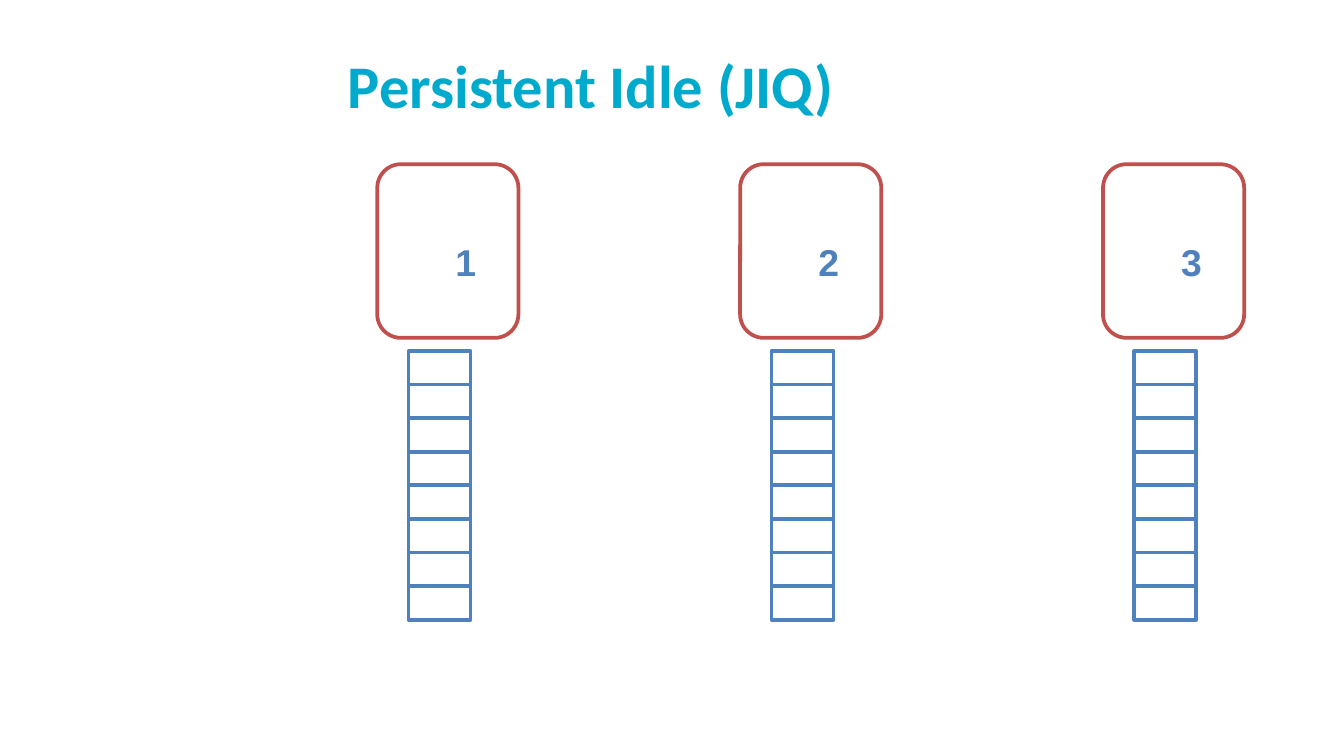
import pptx
import pptx.util
import pptx.dml.color
import pptx.enum.shapes
import pptx.enum.text
from dataclasses import dataclass

Pt = pptx.util.Pt
RGB = pptx.dml.color.RGBColor.from_string
Kind = pptx.enum.shapes.MSO_SHAPE
Anchor = pptx.enum.text.MSO_ANCHOR


@dataclass(frozen=True)
class Theme:
    title: str = "00AACC"
    queue: str = "4F81BD"
    server: str = "C0504D"
    paper: str = "FFFFFF"
    head: float = 32.4
    label: float = 20
    line: float = 2


THEME = Theme()


def add_text(slide, box, text, font, size, color, anchor):
    frame = slide.shapes.add_textbox(*map(Pt, box)).text_frame
    frame.word_wrap = True
    frame.vertical_anchor = anchor
    run = frame.paragraphs[0].add_run()
    run.text = text
    run.font.name = font
    run.font.size = Pt(size)
    run.font.bold = True
    run.font.color.rgb = RGB(color)


def add_box(slide, kind, box, color, fill=None):
    shape = slide.shapes.add_shape(kind, *map(Pt, box))
    shape.shadow.inherit = False
    if fill:
        shape.fill.solid()
        shape.fill.fore_color.rgb = RGB(fill)
    else:
        shape.fill.background()
    shape.line.color.rgb = RGB(color)
    shape.line.width = Pt(THEME.line)


def add_title(slide, box):
    add_text(slide, box, "Persistent Idle (JIQ)", "Calibri",
             THEME.head, THEME.title, Anchor.MIDDLE)


def add_queue(slide, box, count):
    left, top, width, height = box
    step = height / count
    for row in range(count):
        add_box(slide, Kind.RECTANGLE, (left, top + row * step, width, step),
                THEME.queue, THEME.paper)


def add_server(slide, box, name):
    left, top, width, height = box
    add_queue(slide, (left + 16.8, top + 100, 33.2, height - 100), 8)
    add_box(slide, Kind.ROUNDED_RECTANGLE, (left, top, width, 93), THEME.server)
    add_text(slide, (left + 34.8, top + 36.6, 30.2, 31.6), name, "Arial",
             THEME.label, THEME.queue, Anchor.TOP)


def main():
    deck = pptx.Presentation()
    deck.slide_width, deck.slide_height = Pt(720), Pt(405)
    slide = deck.slides.add_slide(deck.slide_layouts[6])
    add_title(slide, (179.3, 22.3, 481, 45.4))
    for index, name in enumerate("123"):
        add_server(slide, (202.1 + index * 194.4, 88, 75.6, 244), name)
    deck.save("out.pptx")


if __name__ == "__main__":
    main()
